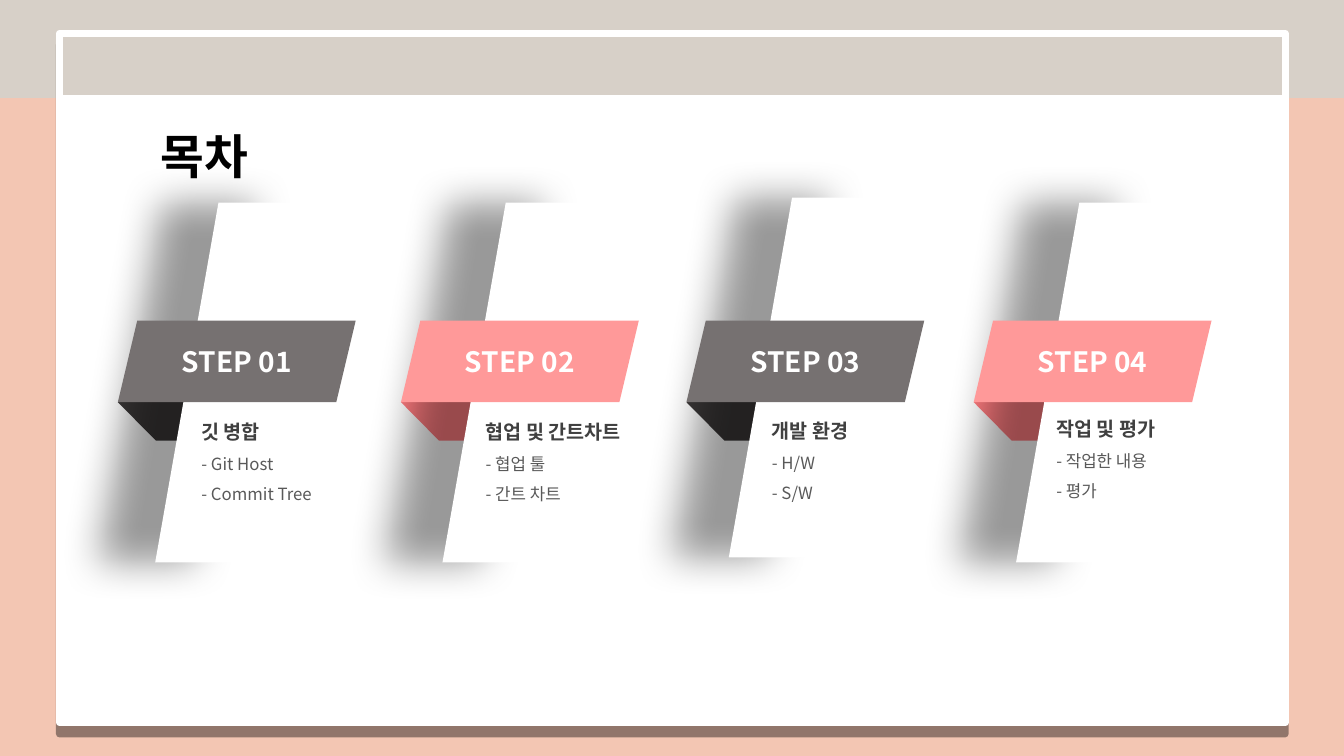
import pptx
import pptx.dml.color
import pptx.enum.shapes
import pptx.enum.text
import pptx.oxml
import pptx.oxml.ns
import pptx.util

Pt = pptx.util.Pt
PARALLELOGRAM = pptx.enum.shapes.MSO_SHAPE.PARALLELOGRAM
RECTANGLE = pptx.enum.shapes.MSO_SHAPE.RECTANGLE
CENTER = pptx.enum.text.PP_ALIGN.CENTER
MIDDLE = pptx.enum.text.MSO_ANCHOR.MIDDLE

FONT = "Noto Sans CJK KR"
COLORS = {
    "peach": "F3C6B3", "stone": "D7D0C8", "white": "FFFFFF", "black": "000000",
    "gray": "767171", "gray fold": "3B3838", "pink": "FF9999", "pink fold": "FF7C80",
    "heading": "404040", "item": "595959",
}
BANNER_TOP, BANNER_WIDTH, BANNER_HEIGHT = 229, 169.9, 58.3

# label, colour, banner left, ribbon (left, top), agenda (left, top), heading, items
STEPS = [
    ("STEP 01", "gray", 84.2, (110.9, 144.7), (136.8, 288),
     "깃 병합", ["- Git Host", "- Commit Tree"]),
    ("STEP 02", "pink", 286.4, (316.1, 144.7), (339.8, 288),
     "협업 및 간트차트", ["- 협업 툴", "- 간트 차트"]),
    ("STEP 03", "gray", 490.3, (520.6, 141.1), (544.3, 287.3),
     "개발 환경", ["- H/W", "- S/W"]),
    ("STEP 04", "pink", 695.5, (725.8, 144.7), (747.4, 285.8),
     "작업 및 평가", ["- 작업한 내용", "- 평가"]),
]


def rgb(name):
    return pptx.dml.color.RGBColor.from_string(COLORS[name])


def split_fill(fill, lower, upper, position):
    """Fill with two flat colours that meet at a position measured from the bottom."""
    fill.gradient()
    fill.gradient_angle = 90
    for stop, name in zip(fill.gradient_stops, (lower, upper)):
        stop.color.rgb = rgb(name)
        stop.position = position


def add_shadow(shape, blur, distance, degrees):
    shape.shadow.inherit = False
    effects = shape.element.spPr.find(pptx.oxml.ns.qn("a:effectLst"))
    effects.append(pptx.oxml.parse_xml(
        f'<a:outerShdw {pptx.oxml.ns.nsdecls("a")} blurRad="{Pt(blur)}" '
        f'dist="{Pt(distance)}" dir="{degrees * 60000}" algn="ctr" rotWithShape="0">'
        f'<a:srgbClr val="{COLORS["black"]}"><a:alpha val="40000"/></a:srgbClr>'
        '</a:outerShdw>'))


def add_text(para, text, size, color, bold=True):
    span = para.add_run()
    span.text = text
    font = span.font
    font.size, font.bold, font.name = Pt(size), bold, FONT
    font.color.rgb = rgb(color)
    east_asian = pptx.oxml.parse_xml(
        f'<a:ea {pptx.oxml.ns.nsdecls("a")} typeface="{FONT}"/>')
    font._element.find(pptx.oxml.ns.qn("a:latin")).addnext(east_asian)


def add_slanted(page, box, slant, color):
    shape = page.shapes.add_shape(PARALLELOGRAM, *map(Pt, box))
    shape.adjustments[0] = slant
    shape.shadow.inherit = False
    shape.fill.solid()
    shape.fill.fore_color.rgb = rgb(color)
    shape.line.fill.background()
    return shape


def add_panel(page, box):
    panel = page.shapes.add_shape(RECTANGLE, *map(Pt, box))
    split_fill(panel.fill, "white", "stone", 0.91)
    panel.line.color.rgb = rgb("white")
    panel.line.width = Pt(5)
    add_shadow(panel, 0, 8, 90)


def add_title(page, box):
    title = page.shapes.title
    title.left, title.top, title.width, title.height = map(Pt, box)
    title.text_frame.vertical_anchor = MIDDLE
    para = title.text_frame.paragraphs[0]
    para.alignment = CENTER
    add_text(para, "목차", 34, "black")
    title.element.getparent().append(title.element)  # in front of the panel


def add_agenda(page, box, heading, items):
    frame = page.shapes.add_textbox(*map(Pt, box)).text_frame
    frame.word_wrap = True
    para = frame.paragraphs[0]
    para.line_spacing = 1.5
    add_text(para, heading, 14, "heading")
    for item in items:
        para = frame.add_paragraph()
        para.line_spacing = 1.5
        add_text(para, item, 12, "item", bold=False)


def add_step(page, label, color, left, ribbon_corner, agenda_corner, heading, items):
    """Fold behind a shaded white ribbon, a banner across it and the agenda below."""
    fold = add_slanted(page, (left, BANNER_TOP + BANNER_HEIGHT, 104.4, 27.4),
                       0.989, color + " fold")
    fold.element.spPr.xfrm.set("flipV", "1")
    ribbon = add_slanted(page, (*ribbon_corner, 113, 257), 0.4, "white")
    add_shadow(ribbon, 28, 41, 180)
    banner = add_slanted(page, (left, BANNER_TOP, BANNER_WIDTH, BANNER_HEIGHT),
                         0.238, color)
    banner.text_frame.vertical_anchor = MIDDLE
    para = banner.text_frame.paragraphs[0]
    para.alignment = CENTER
    add_text(para, label, 20, "white")
    add_agenda(page, (*agenda_corner, 140.4, 74.9), heading, items)


def main():
    deck = pptx.Presentation()
    deck.slide_width, deck.slide_height = Pt(960), Pt(540)
    page = deck.slides.add_slide(deck.slide_layouts[5])
    split_fill(page.background.fill, "peach", "stone", 0.87)
    add_panel(page, (42.5, 23.8, 875.5, 492.5))
    add_title(page, (61.2, 82.1, 169.9, 58.3))
    for step in STEPS:
        add_step(page, *step)
    deck.save("out.pptx")


if __name__ == "__main__":
    main()
